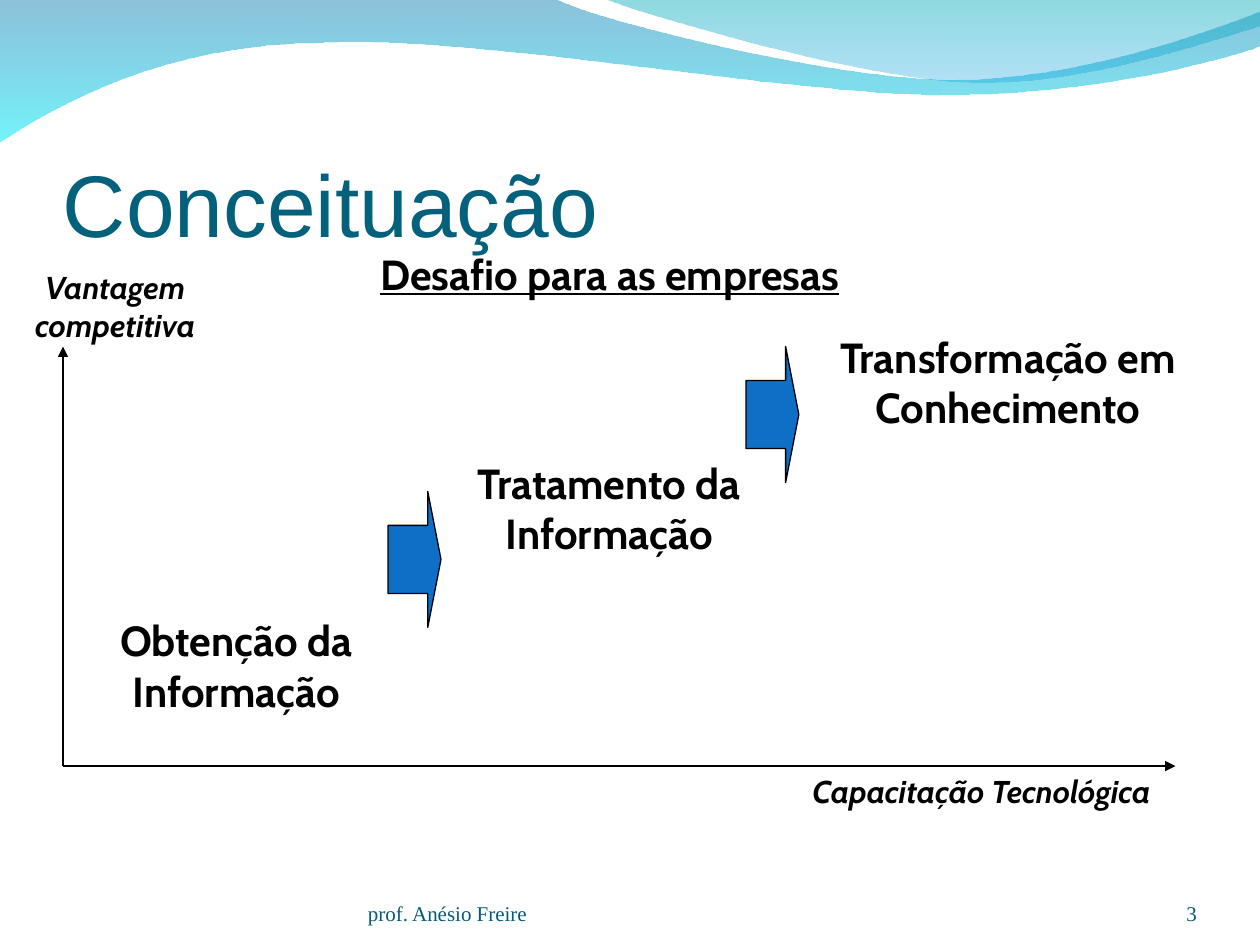
from dataclasses import dataclass

import pptx
import pptx.dml.color
import pptx.enum.shapes
import pptx.enum.text
import pptx.oxml.ns
import pptx.util
from lxml import etree

Inches = pptx.util.Inches
Pt = pptx.util.Pt
qn = pptx.oxml.ns.qn
Align = pptx.enum.text.PP_ALIGN
Anchor = pptx.enum.text.MSO_ANCHOR
AutoSize = pptx.enum.text.MSO_AUTO_SIZE

BLACK = "000000"
BLUE = "0F6FC6"
FOOTER = "045C75"


@dataclass
class Label:
    text: str
    left: float
    top: float
    width: float
    height: float
    size: float = 24
    font: str = "Cabin"
    color: str = BLACK
    bold: bool = True
    italic: bool = False
    underline: bool = False
    align: Align = Align.CENTER
    anchor: Anchor = Anchor.TOP
    insets: tuple = (0.1, 0.05, 0.1, 0.05)
    before: float = 15
    fit: AutoSize = AutoSize.SHAPE_TO_FIT_TEXT


@dataclass
class Wave:
    """Each segment is one point for a line or three for a cubic curve."""
    start: tuple
    segments: list
    stops: list  # (colour, opacity in percent), top to bottom


def rgb(color: str) -> pptx.dml.color.RGBColor:
    return pptx.dml.color.RGBColor.from_string(color)


def add_wave(s, wave: Wave) -> None:
    builder = s.shapes.build_freeform(*map(Inches, wave.start), scale=1.0)
    builder.add_line_segments([tuple(map(Inches, pt)) for seg in wave.segments for pt in seg],
                              close=True)
    sp = builder.convert_to_shape()

    # Join the three points of each curved segment into one curve
    lines = iter(list(sp._element.spPr.iter(qn("a:lnTo"))))
    for seg in wave.segments:
        parts = [next(lines) for _ in seg]
        if len(parts) == 3:
            curve = etree.Element(qn("a:cubicBezTo"))
            parts[0].addprevious(curve)
            for part in parts:
                curve.append(part[0])
                part.getparent().remove(part)

    sp.shadow.inherit = False
    sp.line.fill.background()
    sp.fill.gradient()
    sp.fill.gradient_angle = 270
    for stop, (color, _) in zip(sp.fill.gradient_stops, wave.stops):
        stop.color.rgb = rgb(color)
    colors = sp._element.spPr.iter(qn("a:srgbClr"))
    for clr, (_, opacity) in zip(colors, wave.stops):
        etree.SubElement(clr, qn("a:alpha")).set("val", str(opacity * 1000))


def add_label(s, label: Label) -> None:
    sp = s.shapes.add_textbox(Inches(label.left), Inches(label.top),
                              Inches(label.width), Inches(label.height))
    tf = sp.text_frame
    tf.word_wrap = True
    tf.auto_size = label.fit
    tf.vertical_anchor = label.anchor
    (tf.margin_left, tf.margin_top,
     tf.margin_right, tf.margin_bottom) = map(Inches, label.insets)
    tf.text = label.text
    p = tf.paragraphs[0]
    p.alignment = label.align
    p.space_before = Pt(label.before)
    font = p.runs[0].font
    font.name, font.size = label.font, Pt(label.size)
    font.bold, font.italic, font.underline = label.bold, label.italic, label.underline
    font.color.rgb = rgb(label.color)


def add_axis(s, x: float, y: float) -> None:
    line = s.shapes.add_connector(pptx.enum.shapes.MSO_CONNECTOR.STRAIGHT,
                                  Inches(0.5), Inches(6.08), Inches(x), Inches(y))
    line.line.color.rgb = rgb(BLACK)
    line.line.width = Pt(0.75)
    ln = line._element.spPr.find(qn("a:ln"))
    etree.SubElement(ln, qn("a:tailEnd")).set("type", "triangle")
    etree.SubElement(line._element.spPr, qn("a:effectLst"))


def add_arrow(s, left: float, top: float) -> None:
    sp = s.shapes.add_shape(pptx.enum.shapes.MSO_SHAPE.RIGHT_ARROW, Inches(left),
                            Inches(top), Inches(0.42), Inches(1.08))
    sp.adjustments[0], sp.adjustments[1] = 0.5, 0.25
    sp.shadow.inherit = False
    sp.fill.solid()
    sp.fill.fore_color.rgb = rgb(BLUE)
    sp.line.color.rgb = rgb(BLACK)
    sp.line.width = Pt(0.75)


WAVES = [
    Wave((0, -0.01),
         [[(4.4, -0.01)],
          [(4.76, 0.17), (6.64, 0.63), (7.58, 0.63)],
          [(8.53, 0.63), (9.58, 0.26), (10, 0.09)],
          [(10.01, 0.36)],
          [(9.83, 0.44), (8.7, 0.76), (7.46, 0.75)],
          [(6.22, 0.75), (3.82, 0.28), (2.57, 0.34)],
          [(1.29, 0.35), (0.46, 0.83), (-0.01, 1.13)]],
         [("0079AF", 45), ("00EBF8", 55)]),
    Wave((4.79, -0.01),
         [[(5.09, 0.11), (6.82, 0.62), (7.69, 0.65)],
          [(8.56, 0.69), (9.61, 0.32), (10, 0.21)],
          [(10, 0)]],
         [("00ADB6", 45), ("009BE5", 30)]),
]

FIXED_STYLE = dict(bold=False, anchor=Anchor.BOTTOM, before=0, fit=AutoSize.NONE)
FOOTER_STYLE = dict(size=12, font="Times New Roman", color=FOOTER,
                    insets=(0, 0, 0, 0), **FIXED_STYLE)
AXIS_STYLE = dict(size=18, italic=True, before=11.2)

LABELS = [
    # Title and footer
    Label("Conceituação", 0.5, 0.77, 9, 1.25, size=50, font="Arial", color="04617B",
          align=Align.LEFT, insets=(0, 0.05, 0, 0), **FIXED_STYLE),
    Label("prof. Anésio Freire", 2.92, 6.95, 3.67, 0.4, align=Align.LEFT, **FOOTER_STYLE),
    Label("3", 8.67, 6.95, 0.83, 0.4, align=Align.RIGHT, **FOOTER_STYLE),
    # Subtitle, vertical axis name and first stages
    Label("Desafio para as empresas", 2.92, 1.92, 4.67, 0.5, underline=True,
          align=Align.LEFT),
    Label("Vantagem competitiva", 0, 2.08, 1.83, 0.7, **AXIS_STYLE),
    Label("Obtenção da Informação", 0.5, 4.83, 2.75, 0.9),
    Label("Tratamento da Informação", 3.5, 3.58, 2.67, 0.9),
]
X_AXIS_NAME = Label("Capacitação Tecnológica", 6, 6.08, 3.58, 0.4, **AXIS_STYLE)
LAST_STAGE = Label("Transformação em Conhecimento", 6.25, 2.58, 3.5, 0.9)


def main() -> None:
    prs = pptx.Presentation()
    prs.slide_width, prs.slide_height = Inches(10), Inches(7.5)
    s = prs.slides.add_slide(prs.slide_layouts[6])

    for wave in WAVES:
        add_wave(s, wave)
    for label in LABELS:
        add_label(s, label)

    # Axes from the shared origin
    for x, y in ((9.33, 6.08), (0.5, 2.75)):
        add_axis(s, x, y)
    add_label(s, X_AXIS_NAME)

    # Arrows between stages
    for left, top in ((3.08, 3.9), (5.92, 2.75)):
        add_arrow(s, left, top)
    add_label(s, LAST_STAGE)

    prs.save("out.pptx")


if __name__ == "__main__":
    main()
